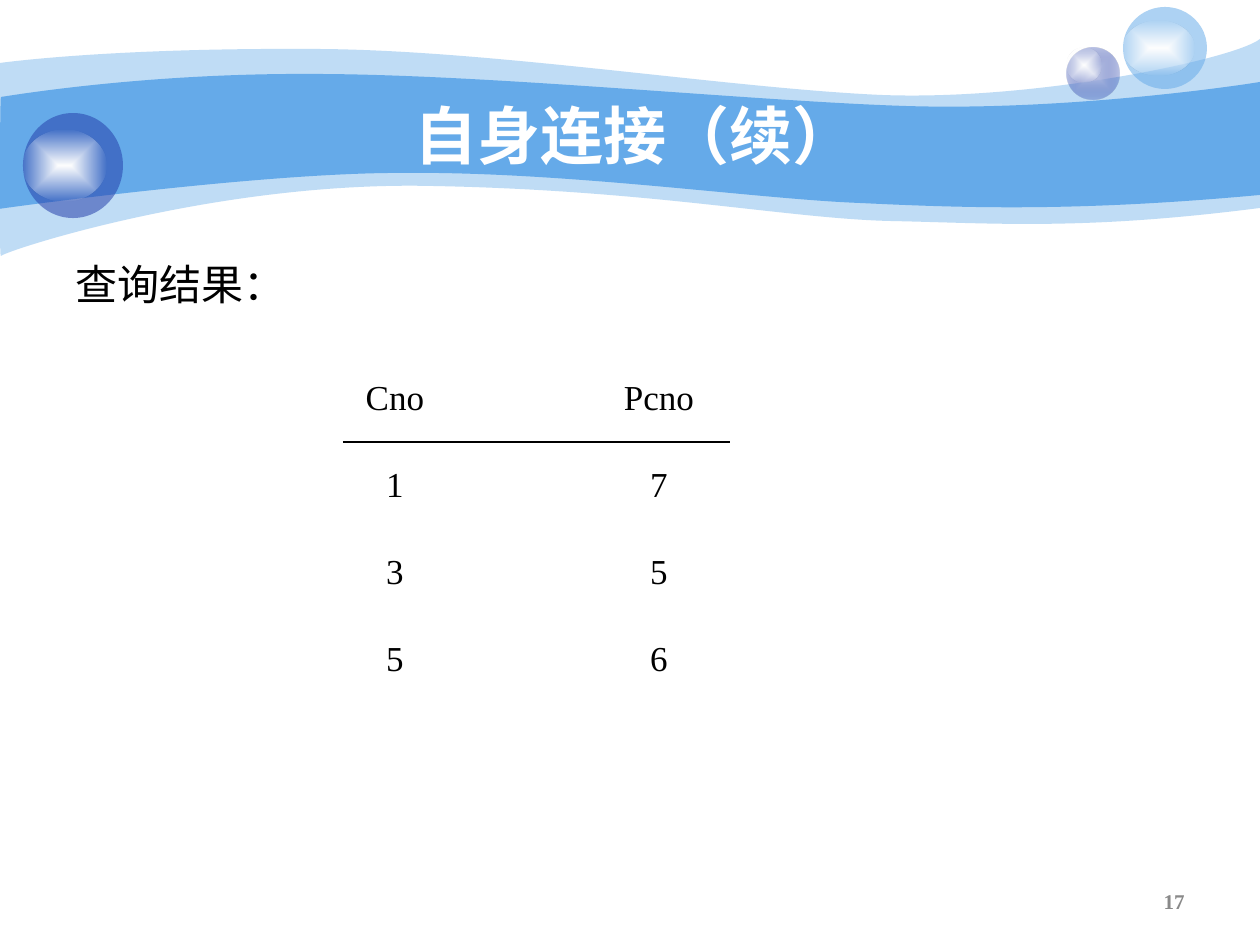
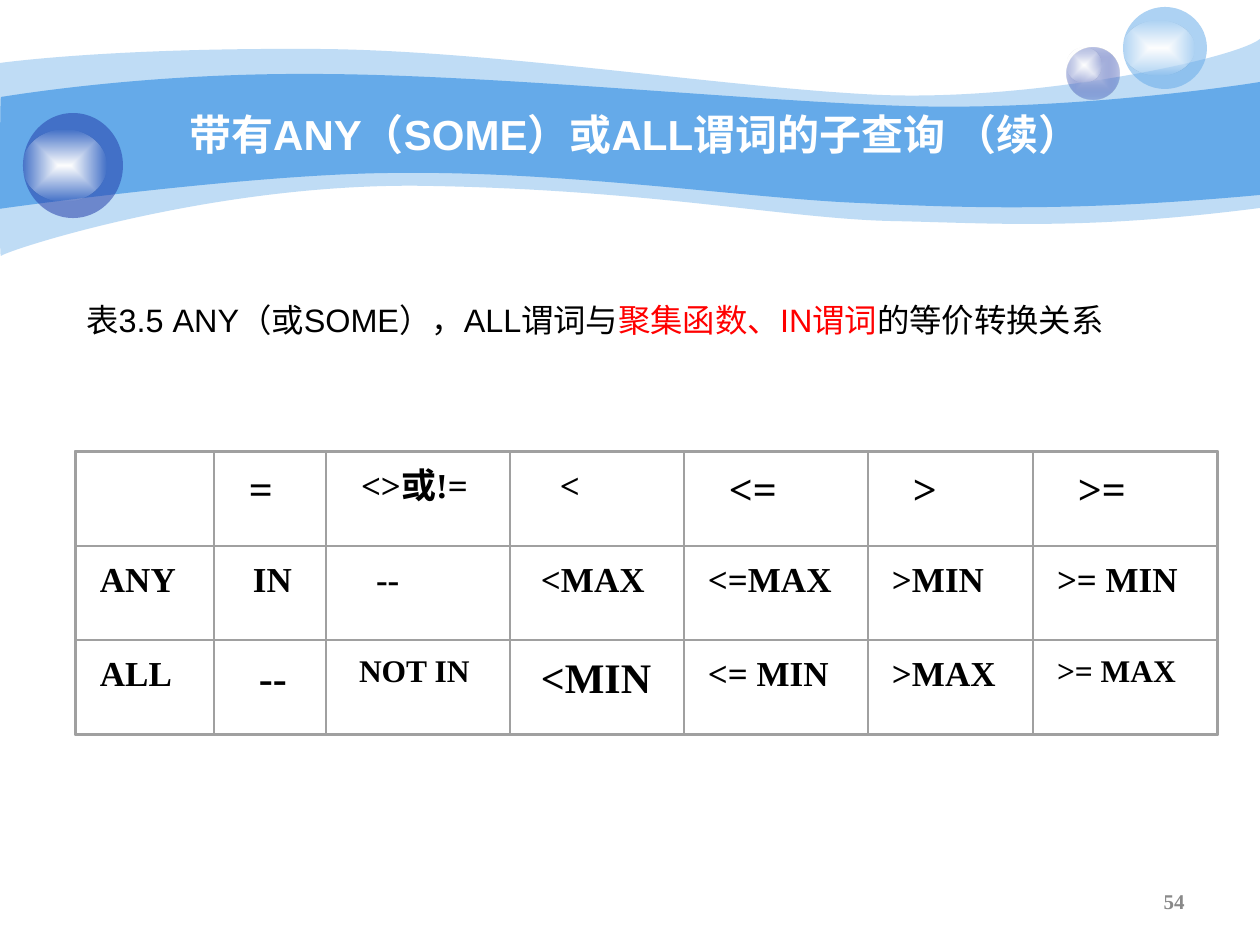
from itertools import accumulate
from pptx import Presentation
from pptx import util as u
from pptx.dml.color import RGBColor
from pptx.enum import shapes, text
from pptx.oxml.ns import qn
from lxml import etree

PX = 914400 / 126
SANS, SERIF = "Arial", "Times New Roman"
BLACK, WHITE, RED = "000000", "FFFFFF", "FF0000"
SKY, NAVY, MIST = "65AAE9", "233DA9", "C7CEE9"
GREY, RULE = "898989", "A0A0A0"
LEFT, MID, RIGHT = text.PP_ALIGN.LEFT, text.PP_ALIGN.CENTER, text.PP_ALIGN.RIGHT
TOP, CENTRE = text.MSO_ANCHOR.TOP, text.MSO_ANCHOR.MIDDLE


def px(n):
    return u.Emu(round(n * PX))


def box(*sizes):
    return [px(n) for n in sizes]


def rgb(code):
    return RGBColor.from_string(code)


def write(frame, runs, size=20, font=SANS, color=BLACK, bold=False, align=LEFT):
    """Fill a text frame with one paragraph; runs is a string or (text, colour) pairs."""
    para = frame.paragraphs[0]
    para.alignment = align
    for words, tint in [(runs, color)] if isinstance(runs, str) else runs:
        run = para.add_run()
        run.text = words
        run.font.size, run.font.name, run.font.bold = u.Pt(size), font, bold
        run.font.color.rgb = rgb(tint)


def label(home, place, runs, anchor=TOP, **look):
    frame = home.shapes.add_textbox(*box(*place)).text_frame
    frame.word_wrap = True
    frame.vertical_anchor = anchor
    write(frame, runs, **look)
    return frame


# Fills
def paint(shape, *stops):
    """Fill with one (colour, opacity), or with a gradient from centre to edge."""
    shape.shadow.inherit = False
    shape.line.fill.background()
    if len(stops) == 1:
        shape.fill.solid()
        shape.fill.fore_color.rgb = rgb(stops[0][0])
    else:
        shape.fill.gradient()
        for stop, (color, _), spot in zip(shape.fill.gradient_stops, stops, (0, 1)):
            stop.color.rgb, stop.position = rgb(color), spot
        lin = next(shape.element.iter(qn("a:lin")))
        path = etree.Element(qn("a:path"), path="rect")
        etree.SubElement(path, qn("a:fillToRect"),
                         {side: "50000" for side in "ltrb"})
        lin.getparent().replace(lin, path)
    for color, (_, part) in zip(list(shape.element.iter(qn("a:srgbClr"))), stops):
        if part < 100:
            etree.SubElement(color, qn("a:alpha"), val=str(part * 1000))


# Waves and bubbles behind the title
def bend(lines):
    """Turn each three line segments into one cubic curve."""
    for a, b, c in zip(lines[::3], lines[1::3], lines[2::3]):
        curve = etree.Element(qn("a:cubicBezTo"))
        a.addprevious(curve)
        for line in (a, b, c):
            curve.append(line[0])
            line.getparent().remove(line)


def wave(slide, upper, lower, part):
    """Each edge is a start and three points a curve; a line joins the edges."""
    start, *rest = [box(*p) for p in upper + lower]
    pen = slide.shapes.build_freeform(*start)
    pen.add_line_segments(rest, close=True)
    shape = pen.convert_to_shape()
    lines = list(shape.element.iter(qn("a:lnTo")))
    turn = len(upper) - 1
    bend(lines[:turn])
    bend(lines[turn + 1:])
    paint(shape, (SKY, part))
    return shape


def bubble(slide, place, gloss, *stops):
    for spot, tones in ((place, stops), (gloss, ((WHITE, 100), (WHITE, 0)))):
        shape = slide.shapes.add_shape(shapes.MSO_SHAPE.OVAL, *box(*spot))
        paint(shape, *tones)
        yield shape


def banner(slide, layout):
    """Draw the banner and hand it to the layout, so that all slides share it."""
    parts = [
        wave(slide,
             [(0, 63), (30, 59), (135, 48), (311, 49), (486, 49), (725, 88),
              (881, 95), (1036, 101), (1235, 59), (1260, 39)],
             [(1260, 208), (1081, 231), (992, 223), (888, 221), (784, 218),
              (649, 190), (432, 186), (217, 181), (5, 251), (1, 256),
              (-1, 262), (0, 95), (0, 63)], 41),
        wave(slide,
             [(1, 97), (3, 97), (139, 73), (312, 74), (486, 74), (750, 101),
              (905, 106), (1060, 111), (1230, 87), (1260, 82)],
             [(1260, 195), (1075, 212), (964, 208), (859, 203), (755, 199),
              (563, 171), (399, 173), (256, 173), (-3, 209), (-1, 209),
              (0, 209), (0, 97), (1, 97)], 100),
        *bubble(slide, (1067, 48, 53, 51), (1067, 48, 35, 34), (MIST, 100), (NAVY, 31)),
        *bubble(slide, (1123, 7, 84, 82), (1123, 21, 71, 54), (SKY, 53)),
        *bubble(slide, (23, 113, 100, 105), (23, 130, 83, 71), (NAVY, 53)),
    ]
    for part in parts:
        layout.shapes.element.append(part.element)


def page(deck, layout, title, size, number):
    """A slide with its title and page number."""
    slide = deck.slides.add_slide(layout)
    head = slide.shapes.title
    head.left, head.top, head.width, head.height = box(126, 95, 1018, 78)
    frame = head.text_frame
    frame.auto_size = text.MSO_AUTO_SIZE.NONE
    frame.vertical_anchor = CENTRE
    write(frame, title, size=size, color=WHITE, bold=True, align=MID)
    label(slide, (903, 876, 294, 50), number, anchor=CENTRE, size=12,
          font=SERIF, color=GREY, bold=True, align=RIGHT)
    return slide


# Query result: centred columns with a rule under the head
def result(slide, left, top, rows):
    wide, high = 264, 87
    frame = slide.shapes.add_table(len(rows), 2, *box(left, top, 2 * wide, high * len(rows)))
    table = frame.table
    table.first_row = table.horz_banding = False
    for row, words in zip(table.rows, rows):
        row.height = px(high)
        for cell, word in zip(row.cells, words):
            cell.fill.background()
            cell.margin_top = cell.margin_bottom = px(6)
            write(cell.text_frame, word, font=SERIF, align=MID)
    rule = slide.shapes.add_connector(
        shapes.MSO_CONNECTOR.STRAIGHT,
        *box(left + 80, top + 69, left + 467, top + 69))
    rule.line.color.rgb, rule.line.width = rgb(BLACK), u.Pt(0.75)
    etree.SubElement(rule.element.spPr, qn("a:effectLst"))


# Ruled grid of framed cells
def outline(home, place, width):
    shape = home.shapes.add_shape(shapes.MSO_SHAPE.RECTANGLE, *box(*place))
    shape.shadow.inherit = False
    shape.fill.background()
    shape.line.color.rgb, shape.line.width = rgb(RULE), u.Pt(width)


def matrix(slide, left, top, widths, rows):
    """Each cell is text, size and left indent."""
    high, gap = 94, 12
    group = slide.shapes.add_group_shape()
    starts = list(accumulate(widths, initial=left))
    for r, row in enumerate(rows):
        y = top + r * high
        for x, wide, (word, size, indent) in zip(starts, widths, row):
            if word:
                frame = label(group, (x + gap, y, wide - 2 * gap, 63 if size > 20 else 55),
                              word, size=size, font=SERIF, bold=True)
                frame.margin_left, frame.margin_right = px(indent - gap), 0
                frame.margin_top = px(11)
            outline(group, (x, y, wide, high), 0)
    outline(group, (left - 1, top - 1, sum(widths) + 2, high * len(rows) + 2), 0.88)


def main():
    deck = Presentation()
    deck.slide_width, deck.slide_height = box(1260, 945)
    layout = deck.slide_layouts[5]

    # Self join
    slide = page(deck, layout, "自身连接（续）", 36, "17")
    banner(slide, layout)
    label(slide, (63, 252, 557, 82), "查询结果：", size=24)
    result(slide, 263, 373, [("Cno", "Pcno"), ("1", "7"), ("3", "5"), ("5", "6")])

    # ANY and ALL
    slide = page(deck, layout, "带有ANY（SOME）或ALL谓词的子查询 （续）", 24, "54")
    label(slide, (74, 294, 1134, 77),
          [("表3.5 ANY（或SOME），ALL谓词与", BLACK), ("聚集函数、IN谓词", RED),
           ("的等价转换关系", BLACK)], size=18.5)
    matrix(slide, 76, 452, (138, 112, 184, 174, 184, 165, 184), [
        [("", 20, 24), ("=", 24, 35), ("<>或!=", 20, 35), ("<", 20, 50),
         ("<=", 24, 45), (">", 24, 45), (">=", 24, 45)],
        [("ANY", 20, 24), ("IN", 20, 39), ("--", 20, 50), ("<MAX", 20, 31),
         ("<=MAX", 20, 24), (">MIN", 20, 24), (">= MIN", 20, 24)],
        [("ALL", 20, 24), ("--", 24, 45), ("NOT IN", 18, 33), ("<MIN", 24, 31),
         ("<= MIN", 20, 24), (">MAX", 20, 24), (">= MAX", 18, 24)],
    ])
    deck.save("out.pptx")


if __name__ == "__main__":
    main()
